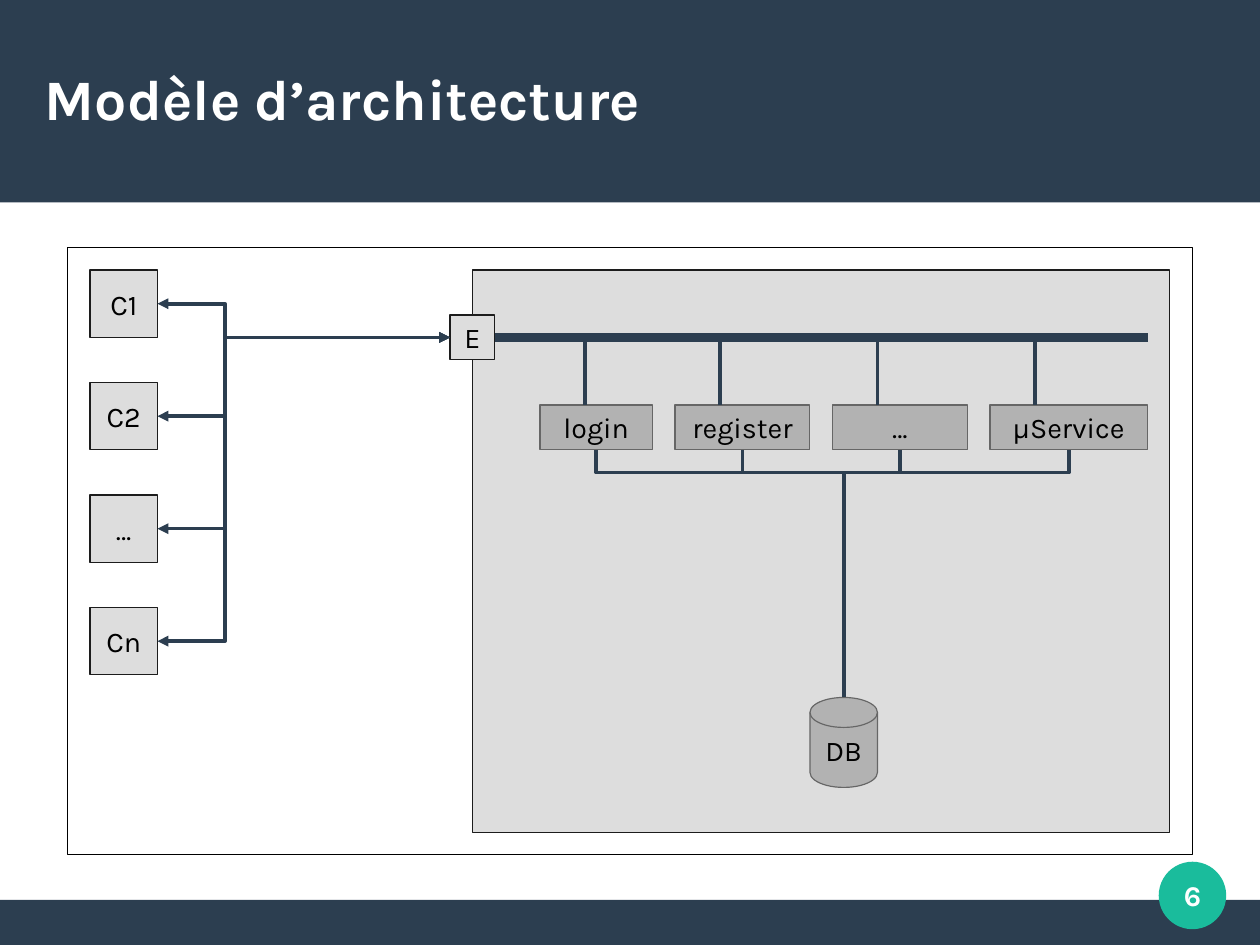
from dataclasses import dataclass

from lxml import etree
from pptx import Presentation
from pptx.dml.color import RGBColor
from pptx.enum.shapes import MSO_CONNECTOR, MSO_SHAPE
from pptx.enum.text import MSO_ANCHOR, MSO_AUTO_SIZE, PP_ALIGN
from pptx.oxml.ns import qn
from pptx.util import Inches, Pt

RECT, DISK, OVAL = MSO_SHAPE.RECTANGLE, MSO_SHAPE.FLOWCHART_MAGNETIC_DISK, MSO_SHAPE.OVAL
LINE, ELBOW = MSO_CONNECTOR.STRAIGHT, MSO_CONNECTOR.ELBOW
LEFT, CENTER = PP_ALIGN.LEFT, PP_ALIGN.CENTER
RIGHT_SIDE = 3
GRID = 0.5 / 2.54


@dataclass(frozen=True)
class Theme:
    font: str = "Karla"
    navy: str = "2C3E50"
    green: str = "1ABC9C"
    white: str = "FFFFFF"
    black: str = "000000"
    pale: str = "DDDDDD"
    edge: str = "1C1C1C"
    gray: str = "B2B2B2"
    rim: str = "666666"
    head: int = 36
    body: int = 18
    wire: float = 2.3
    bus: float = 5.67


THEME = Theme()


def cells(*counts):
    return [Inches(count * GRID) for count in counts]


def write(shape, text, size=THEME.body, color=THEME.black, bold=False,
          align=CENTER, wrap=False, inset=(0.1, 0.05)):
    frame = shape.text_frame
    frame.auto_size = MSO_AUTO_SIZE.NONE
    frame.word_wrap = wrap
    frame.vertical_anchor = MSO_ANCHOR.MIDDLE
    frame.margin_left = frame.margin_right = Inches(inset[0])
    frame.margin_top = frame.margin_bottom = Inches(inset[1])
    par = frame.paragraphs[0]
    par.alignment = align
    run = par.add_run()
    run.text = text
    run.font.name = THEME.font
    run.font.size = Pt(size)
    run.font.bold = bold
    run.font.color.rgb = RGBColor.from_string(color)


def block(slide, box, fill, edge=None, kind=RECT):
    shape = slide.shapes.add_shape(kind, *cells(*box))
    shape.shadow.inherit = False
    shape.fill.solid()
    shape.fill.fore_color.rgb = RGBColor.from_string(fill)
    if edge:
        shape.line.color.rgb = RGBColor.from_string(edge)
        shape.line.width = Pt(0)
    else:
        shape.line.fill.background()
    return shape


def wire(slide, start, end, kind=LINE, width=THEME.wire, heads=False):
    link = slide.shapes.add_connector(kind, *cells(*start, *end))
    link.line.color.rgb = RGBColor.from_string(THEME.navy)
    link.line.width = Pt(width)
    if heads:
        line = link.element.spPr.find(qn("a:ln"))
        for tag in ("a:headEnd", "a:tailEnd"):
            etree.SubElement(line, qn(tag), type="triangle")
    etree.SubElement(link.element.spPr, qn("a:effectLst"))
    return link


def bend(link, share):
    guides = link.element.spPr.find(qn("a:prstGeom")).find(qn("a:avLst"))
    etree.SubElement(guides, qn("a:gd"), name="adj1", fmla=f"val {round(share * 100000)}")


def across(slide, start, end, step):
    link = wire(slide, start, end, ELBOW, heads=True)
    bend(link, step / (end[0] - start[0]))


def down(slide, start, end, step):
    wide, high = abs(end[0] - start[0]), end[1] - start[1]
    mid_x, mid_y = (start[0] + end[0]) / 2, (start[1] + end[1]) / 2
    side = 1 if end[0] < start[0] else -1
    link = wire(slide, (mid_x - side * high / 2, mid_y - wide / 2),
                (mid_x + side * high / 2, mid_y + wide / 2), ELBOW)
    turn = 90 if side > 0 else 270
    link.element.spPr.find(qn("a:xfrm")).set("rot", str(turn * 60000))
    bend(link, step / high)


def header(slide, box, text):
    x, y, wide, high = box
    block(slide, box, THEME.navy)
    title = slide.shapes.title
    title.left, title.top, title.width, title.height = cells(x + 2, y + 1.67, 39.5, 5.33)
    write(title, text, size=THEME.head, color=THEME.white, bold=True,
          align=LEFT, wrap=True, inset=(0, 0))
    title.element.getparent().append(title.element)


def footer(slide, box, page):
    x, y, wide, high = box
    block(slide, box, THEME.navy)
    badge = block(slide, (x + wide - 4.5, y - 1.7, 3, 3), THEME.green, kind=OVAL)
    write(badge, page, color=THEME.white, bold=True, inset=(0, 0))


def clients(slide, box, names, goal):
    x, y, size, pitch = box
    for row, name in enumerate(names):
        top = y + row * pitch
        node = block(slide, (x, top, size, size), THEME.pale, THEME.edge)
        write(node, name)
        across(slide, (x + size, top + size / 2), goal, size)


def server(slide, box, items):
    x, y, wide, high = box
    block(slide, box, THEME.pale, THEME.edge)
    bus_y, row_y, tall = y + 3, y + 6, 2
    entry = block(slide, (x - 1, bus_y - 1, tall, tall), THEME.pale, THEME.edge)
    write(entry, "E")
    bus = wire(slide, (x + 1, bus_y), (x + wide - 1, bus_y), width=THEME.bus)
    bus.begin_connect(entry, RIGHT_SIDE)

    base = (x + 15, y + 19, 3, 4)
    write(block(slide, base, THEME.gray, THEME.rim, DISK), "DB")
    goal = (base[0] + base[2] / 2, base[1])
    for name, shift, span in items:
        left = x + shift
        write(block(slide, (left, row_y, span, tall), THEME.gray, THEME.rim), name)
        wire(slide, (left + 2, row_y), (left + 2, bus_y))
        down(slide, (left + span / 2, row_y + tall), goal, 1)


def model(slide, box):
    x, y, wide, high = box
    block(slide, box, THEME.white, THEME.black)
    items = [("login", 3, 5), ("register", 9, 6), ("…", 16, 6), ("µService", 23, 7)]
    server(slide, (x + 18, y + 1, 31, 25), items)
    clients(slide, (x + 1, y + 1, 3, 5), ["C1", "C2", "…", "Cn"], (x + 17, y + 4))


def main():
    deck = Presentation()
    deck.slide_width, deck.slide_height = cells(56, 42)
    slide = deck.slides.add_slide(deck.slide_layouts[5])
    header(slide, (0, 0, 56, 9), "Modèle d’architecture")
    model(slide, (3, 11, 50, 27))
    footer(slide, (0, 40, 56, 2), "6")
    deck.save("out.pptx")


if __name__ == "__main__":
    main()
